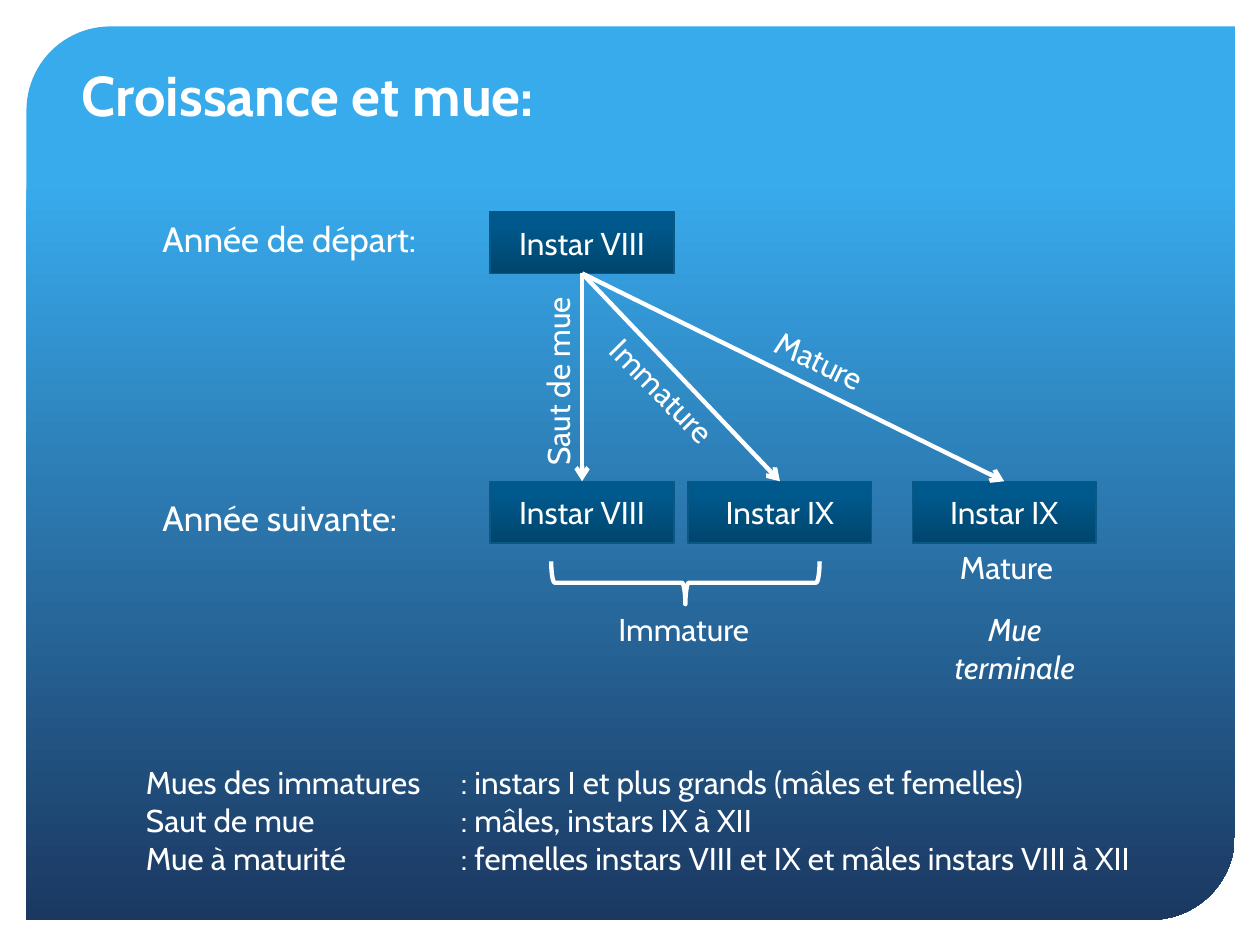
from lxml import etree
from pptx import Presentation
from pptx import util as u
from pptx.dml import color
from pptx.enum import shapes, text
from pptx.oxml import ns

COLOURS = {
    "white": "FFFFFF",
    "sky": "38ABED",
    "navy": "1B3861",
    "box_dark": "00456D",
    "box_light": "00598D",
    "box_edge": "095886",
}
COLUMNS, ROWS = 100, 75
BOX_WIDTH, BOX_HEIGHT = 14.6, 4.9
START_ROW, NEXT_ROW = 16.8, 38.2


def rgb(name):
    return color.RGBColor.from_string(COLOURS[name])


def write(frame, content, size=18, bold=None, italic=None, align=None, tab=None):
    for index, line in enumerate(content.split("\n")):
        paragraph = frame.paragraphs[0] if index == 0 else frame.add_paragraph()
        paragraph.alignment = align
        if tab:
            properties = paragraph._p.get_or_add_pPr()
            tabs = etree.SubElement(properties, ns.qn("a:tabLst"))
            etree.SubElement(tabs, ns.qn("a:tab"), pos=str(u.Inches(tab)), algn="l")
        run = paragraph.add_run()
        run.text = line
        font = run.font
        font.name, font.size = "Cabin", u.Pt(size)
        font.bold, font.italic = bold, italic
        font.color.rgb = rgb("white")


class SlideBuilder:
    """Draws styled elements on one slide, placed on a grid of columns and rows."""

    def __init__(self, presentation):
        self.column = presentation.slide_width / COLUMNS
        self.row = presentation.slide_height / ROWS
        self.slide = presentation.slides.add_slide(presentation.slide_layouts[6])

    def place(self, left, top, width, height):
        return (
            round(left * self.column),
            round(top * self.row),
            round(width * self.column),
            round(height * self.row),
        )

    def shape(self, kind, *area):
        shape = self.slide.shapes.add_shape(kind, *self.place(*area))
        shape.shadow.inherit = False
        return shape

    def gradient(self, shape, stops, angle):
        shape.fill.gradient()
        shape.fill.gradient_angle = angle
        for stop, (position, name) in zip(shape.fill.gradient_stops, stops):
            stop.position = position
            stop.color.rgb = rgb(name)

    def panel(self, *area):
        panel = self.shape(shapes.MSO_SHAPE.ROUND_2_DIAG_RECTANGLE, *area)
        panel.adjustments[0], panel.adjustments[1] = 0.094, 0
        self.gradient(panel, [(0.17, "sky"), (1, "navy")], 270)
        panel.line.fill.background()

    def box(self, left, top, content):
        box = self.shape(shapes.MSO_SHAPE.RECTANGLE, left, top, BOX_WIDTH, BOX_HEIGHT)
        self.gradient(box, [(0, "box_dark"), (0.8, "box_light")], 90)
        box.line.color.rgb = rgb("box_edge")
        box.line.width = u.Pt(0.75)
        box.text_frame.vertical_anchor = text.MSO_ANCHOR.MIDDLE
        write(box.text_frame, content, align=text.PP_ALIGN.CENTER)
        return box

    def label(self, area, content, rotation=0, wrap=False, anchor=None, **style):
        label = self.slide.shapes.add_textbox(*self.place(*area))
        label.rotation = rotation
        frame = label.text_frame
        frame.word_wrap = wrap
        frame.vertical_anchor = anchor
        if anchor is None:
            frame.auto_size = text.MSO_AUTO_SIZE.SHAPE_TO_FIT_TEXT
        write(frame, content, **style)

    def outline(self, line):
        line.color.rgb = rgb("white")
        line.width = u.Pt(2.5)

    def arrow(self, source, target):
        arrow = self.slide.shapes.add_connector(shapes.MSO_CONNECTOR.STRAIGHT, 0, 0, 0, 0)
        arrow.begin_connect(source, 2)
        arrow.end_connect(target, 0)
        self.outline(arrow.line)
        etree.SubElement(arrow.line._get_or_add_ln(), ns.qn("a:tailEnd"), type="arrow")
        etree.SubElement(arrow._element.spPr, ns.qn("a:effectLst"))

    def brace(self, *area):
        brace = self.shape(shapes.MSO_SHAPE.LEFT_BRACE, *area)
        brace.rotation = 270
        brace.fill.background()
        self.outline(brace.line)


def main():
    presentation = Presentation()
    presentation.slide_width, presentation.slide_height = u.Inches(10), u.Inches(7.5)
    builder = SlideBuilder(presentation)
    center = text.PP_ALIGN.CENTER

    builder.panel(2.1, 2.1, 95.9, 70.9)
    builder.label((5.5, 4.2, 82.9, 6.4), "Croissance et mue:", size=32, bold=True,
                  wrap=True, anchor=text.MSO_ANCHOR.BOTTOM)
    builder.label((11.9, START_ROW, 23.9, 4.4), "Année de départ:", size=20)
    builder.label((11.9, 38.9, 22.1, 4.4), "Année suivante:", size=20)

    start = builder.box(38.9, START_ROW, "Instar VIII")
    outcomes = [(38.9, "Instar VIII"), (54.6, "Instar IX"), (72.4, "Instar IX")]
    for left, content in outcomes:
        builder.arrow(start, builder.box(left, NEXT_ROW, content))

    builder.label((36.2, 27.9, 16.1, 4), "Saut de mue", rotation=270)
    builder.label((46.1, 29, 13, 4), "Immature", rotation=45.4, align=center)
    builder.label((60.1, 26.6, 9.9, 4), "Mature", rotation=25.7, align=center)

    builder.brace(52.7, 35.6, 3.4, 21.3)
    builder.label((48.1, 47.9, 13, 4), "Immature")
    builder.label((75.2, 43, 9.9, 4), "Mature")
    builder.label((72.7, 47.9, 15.7, 7.1), "Mue\nterminale", wrap=True,
                  italic=True, align=center)

    summary = [
        ("Mues des immatures", "instars I et plus grands (mâles et femelles)"),
        ("Saut de mue", "mâles, instars IX à XII"),
        ("Mue à maturité", "femelles instars VIII et IX et mâles instars VIII à XII"),
    ]
    builder.label((10.6, 60.1, 85.8, 10.1),
                  "\n".join(f"{term}\t: {detail}" for term, detail in summary), tab=2.5)

    presentation.save("out.pptx")


if __name__ == "__main__":
    main()
